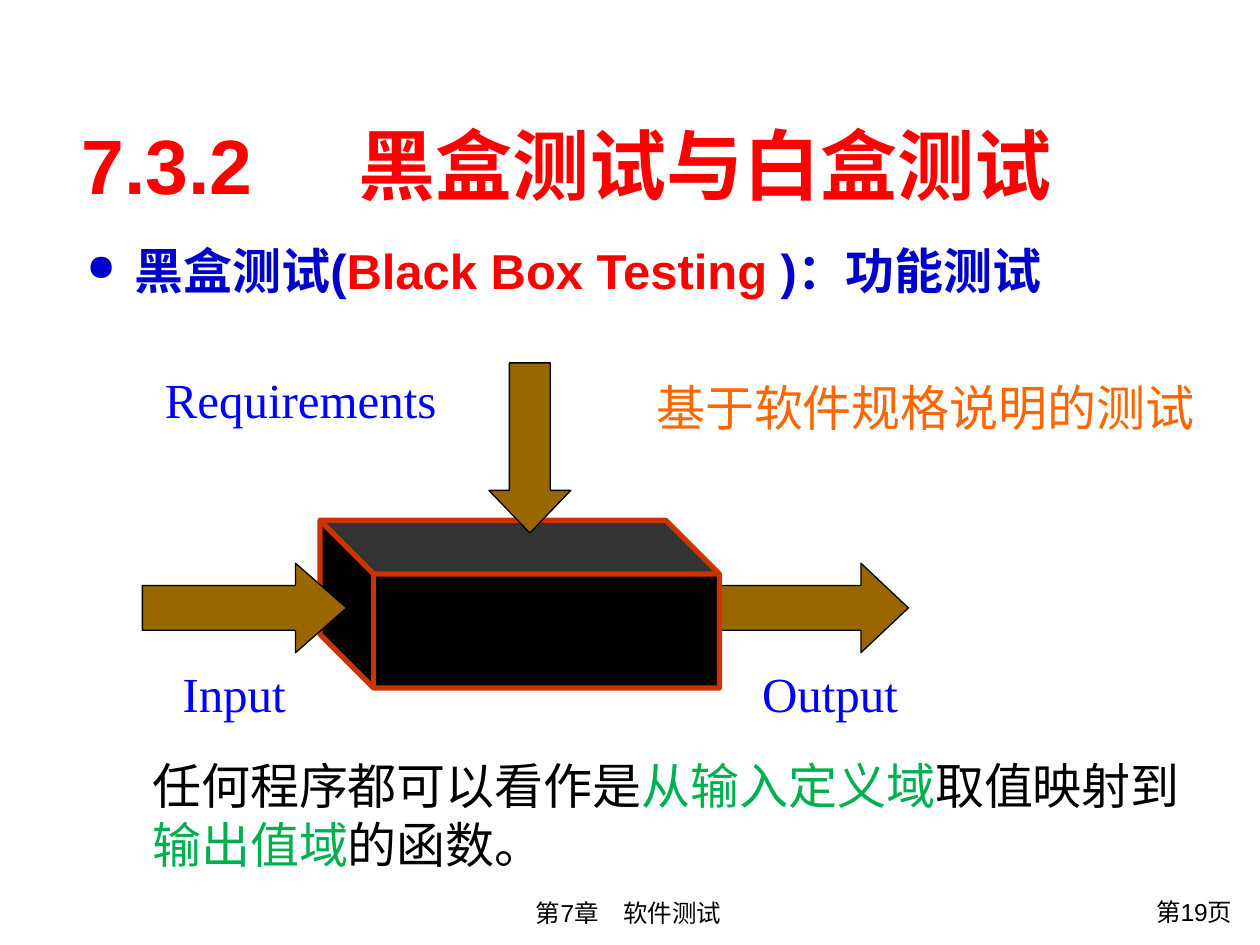
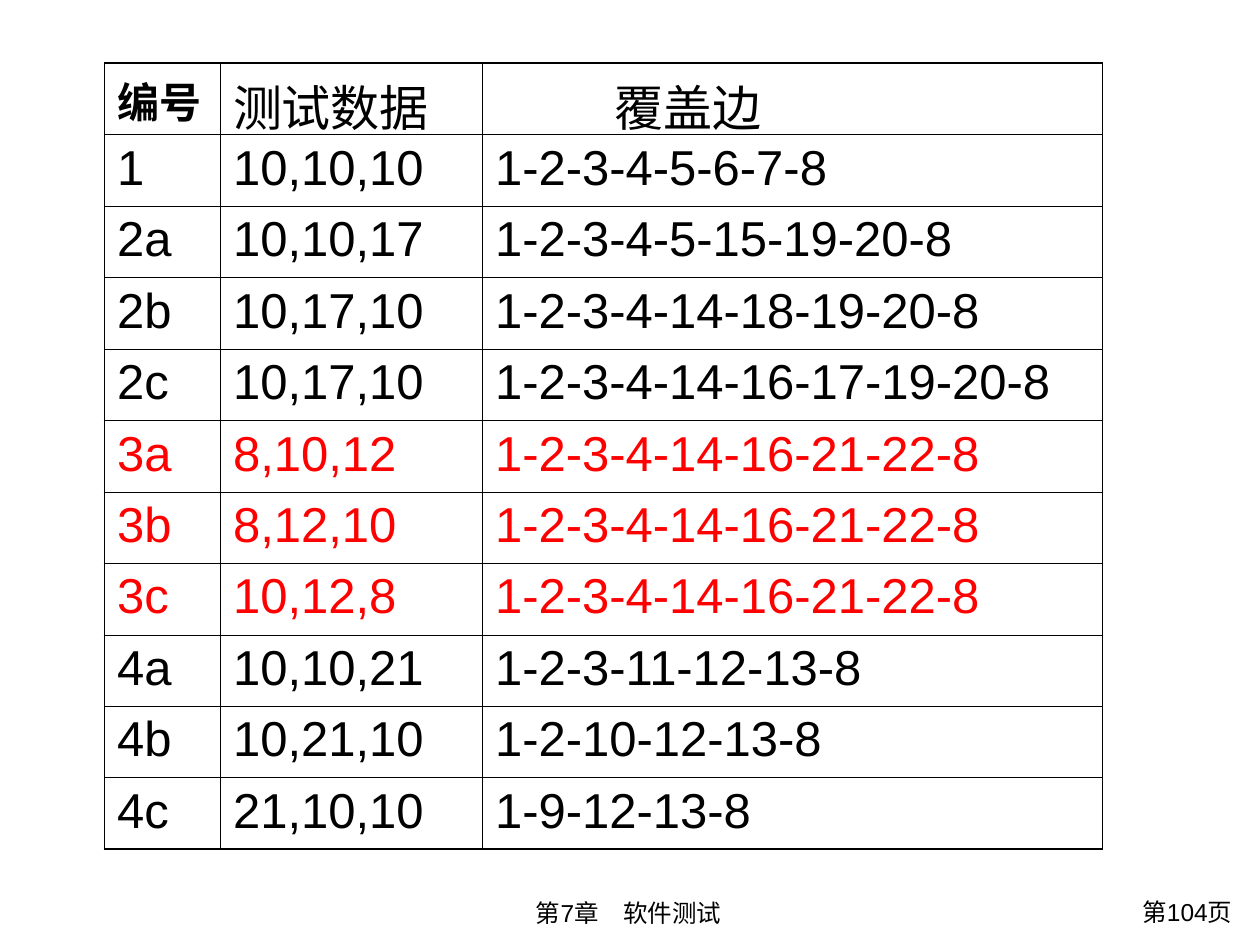
from dataclasses import dataclass
from lxml.etree import SubElement
from pptx import Presentation
from pptx.dml.color import RGBColor as Rgb
from pptx.enum.shapes import MSO_SHAPE as Preset
from pptx.enum.text import MSO_ANCHOR as Anchor, MSO_AUTO_SIZE as AutoSize, PP_ALIGN as Align
from pptx.oxml.ns import qn
from pptx.util import Inches, Pt


@dataclass(frozen=True)
class Theme:
    sans: str = "Arial"
    serif: str = "Times New Roman"
    black: str = "000000"
    red: str = "FF0000"
    navy: str = "0000CC"
    blue: str = "0000FF"
    orange: str = "FF6600"
    green: str = "00B050"
    arrow: str = "996600"
    edge: str = "CC3300"
    title: int = 44
    body: int = 28
    heading: int = 24
    footer: int = 14
    thin: float = 0.45
    thick: float = 1.08


theme = Theme()


def write(frame, runs, size=theme.body, font=theme.sans, bold=False, **layout):
    paragraph = frame.paragraphs[0]
    for key, value in layout.items():
        setattr(paragraph, key, value)
    for words, color in runs:
        run = paragraph.add_run()
        run.text = words
        run.font.color.rgb = Rgb.from_string(color)
        for key, value in {"size": Pt(size), "name": font, "bold": bold}.items():
            setattr(run.font, key, value)
    return paragraph._p.get_or_add_pPr()


def add_frame(slide, place, **settings):
    frame = slide.shapes.add_textbox(*map(Inches, place)).text_frame
    for key, value in {"word_wrap": True, "auto_size": AutoSize.NONE, **settings}.items():
        setattr(frame, key, value)
    return frame


deck = Presentation()
deck.slide_width, deck.slide_height = Inches(10), Inches(7.5)
black_box, coverage = [deck.slides.add_slide(deck.slide_layouts[6]) for _ in range(2)]

for slide, page in ((black_box, 19), (coverage, 104)):
    write(add_frame(slide, (2.35, 7.08, 5.28, 0.34)), [("第7章　软件测试", theme.black)],
          theme.footer, alignment=Align.CENTER, space_before=Pt(8.8))
    write(add_frame(slide, (8.54, 7.07, 1.34, 0.37)), [(f"第{page}页", theme.black)],
          theme.footer, alignment=Align.RIGHT)

title = add_frame(black_box, (0.55, 0.94, 8.43, 0.72), vertical_anchor=Anchor.MIDDLE)
title_format = write(title, [("7.3.2\t黑盒测试与白盒测试", theme.red)], theme.title, bold=True)
tab_stops = SubElement(title_format, qn("a:tabLst"))
SubElement(tab_stops, qn("a:tab"), pos=str(Inches(2.2)), algn="l")

topic = add_frame(black_box, (0.59, 1.86, 9, 4.25))
topic_format = write(topic, [("黑盒测试(", theme.navy), ("Black Box Testing", theme.red),
                             (" )：功能测试", theme.navy)], bold=True, space_before=Pt(7))
topic_format.set("marL", str(Inches(0.38)))
topic_format.set("indent", str(-Inches(0.38)))
SubElement(SubElement(topic_format, qn("a:buClr")), qn("a:srgbClr"), val=theme.navy)
SubElement(topic_format, qn("a:buSzPct"), val="75000")
SubElement(topic_format, qn("a:buChar"), char="●")

arrow_style = (Preset.RIGHT_ARROW, theme.arrow, theme.black, 0.75)
box_style = (Preset.CUBE, theme.black, theme.edge, 3)
for (preset, fill, line, weight), place, adjustments, rotation in (
    (arrow_style, (5.71, 4.47, 1.5, 0.71), (0.5, 0.53), 0),
    (box_style, (2.54, 4.13, 3.17, 1.33), (0.32,), 0),
    (arrow_style, (1.13, 4.47, 1.62, 0.71), (0.5, 0.57), 0),
    (arrow_style, (3.53, 3.23, 1.35, 0.65), (0.5, 0.52), 90),
):
    part = black_box.shapes.add_shape(preset, *map(Inches, place))
    part.shadow.inherit = False
    part.rotation = rotation
    part.fill.solid()
    part.fill.fore_color.rgb = Rgb.from_string(fill)
    part.line.color.rgb = Rgb.from_string(line)
    part.line.width = Pt(weight)
    for index, adjustment in enumerate(adjustments):
        part.adjustments[index] = adjustment
    if preset == Preset.CUBE:
        part._element.spPr.xfrm.set("flipH", "1")

for words, place, wrap in (
    ("Requirements", (1.21, 2.88, 2.56, 0.57), True),
    ("Input", (1.35, 5.22, 1.02, 0.57), False),
    ("Output", (5.95, 5.22, 1.28, 0.57), False),
):
    write(add_frame(black_box, place, word_wrap=wrap), [(words, theme.blue)], font=theme.serif)

grow = {"auto_size": AutoSize.SHAPE_TO_FIT_TEXT}
write(add_frame(black_box, (5.11, 2.95, 4.54, 0.57), **grow),
      [("基于软件规格说明的测试", theme.orange)], space_before=Pt(17.5))
write(add_frame(black_box, (1.11, 5.95, 8.69, 1.04), **grow),
      [("任何程序都可以看作是", theme.black), ("从输入定义域", theme.green),
       ("取值映射到", theme.black), ("输出值域", theme.green), ("的函数。", theme.black)],
      space_before=Pt(10.5))

test_cases = (
    ("编号", "测试数据", "覆盖边"),
    ("1", "10,10,10", "1-2-3-4-5-6-7-8"),
    ("2a", "10,10,17", "1-2-3-4-5-15-19-20-8"),
    ("2b", "10,17,10", "1-2-3-4-14-18-19-20-8"),
    ("2c", "10,17,10", "1-2-3-4-14-16-17-19-20-8"),
    ("3a", "8,10,12", "1-2-3-4-14-16-21-22-8"),
    ("3b", "8,12,10", "1-2-3-4-14-16-21-22-8"),
    ("3c", "10,12,8", "1-2-3-4-14-16-21-22-8"),
    ("4a", "10,10,21", "1-2-3-11-12-13-8"),
    ("4b", "10,21,10", "1-2-10-12-13-8"),
    ("4c", "21,10,10", "1-9-12-13-8"),
)
widths = (0.92, 2.08, 4.92)
last_row, last_column = len(test_cases) - 1, len(widths) - 1
cases = coverage.shapes.add_table(len(test_cases), len(widths), Inches(0.83), Inches(0.5),
                                  Inches(sum(widths)), Inches(6.23)).table
cases.first_row = cases.horz_banding = False
for column, width in zip(cases.columns, widths):
    column.width = Inches(width)

for row, case in enumerate(test_cases):
    color = theme.red if case[0].startswith("3") else theme.black
    for column, words in enumerate(case):
        cell = cases.cell(row, column)
        is_corner = row == column == 0
        size = theme.heading if is_corner else theme.body
        cell_format = write(cell.text_frame, [(words, color)], size, bold=is_corner,
                            space_before=Pt(size / 4))
        if row == 0 and column == last_column:
            cell_format.set("marL", str(Inches(0.95)))
        borders = cell._tc.get_or_add_tcPr()
        for side, outer in (("L", column == 0), ("R", column == last_column),
                            ("T", row == 0), ("B", row == last_row)):
            weight = Pt(theme.thick if outer else theme.thin)
            border = SubElement(borders, qn(f"a:ln{side}"), w=str(weight))
            SubElement(SubElement(border, qn("a:solidFill")), qn("a:srgbClr"), val=theme.black)
        cell.fill.background()

deck.save("out.pptx")
